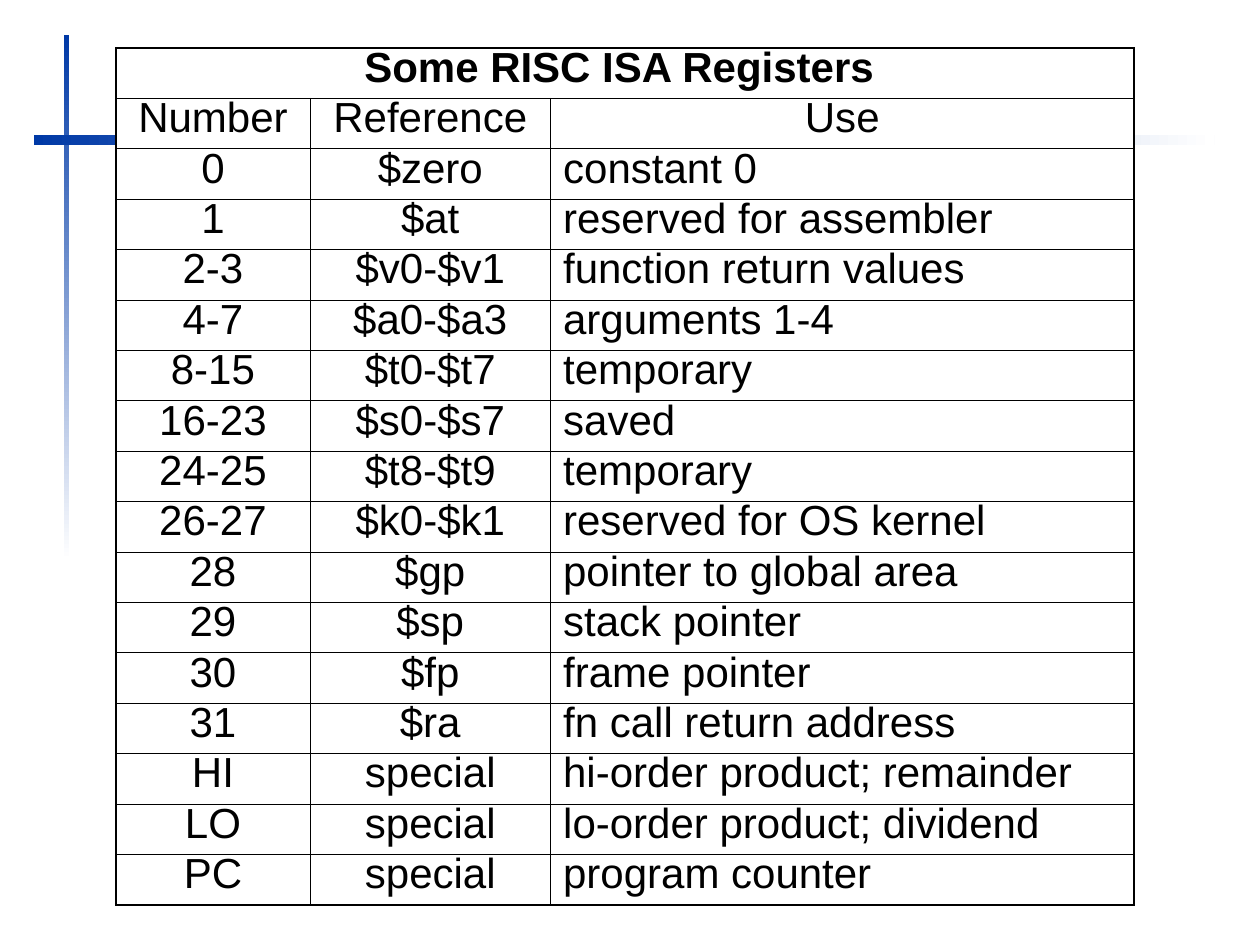
import pptx
import pptx.dml.color
import pptx.enum.shapes
import pptx.enum.text
import pptx.oxml
import pptx.oxml.ns
import pptx.util

Inches = pptx.util.Inches
Pt = pptx.util.Pt
Align = pptx.enum.text.PP_ALIGN

COLORS = {"accent": "0039A6", "paper": "FFFFFF", "ink": "000000"}
OUTER, INNER = 1.08, 0.45
COLUMN_WIDTHS = [1.54, 1.91, 4.63]
ROW_HEIGHT = 0.4
CAPTION = "Some RISC ISA Registers "
HEADINGS = ("Number", "Reference", "Use")
REGISTERS = [
    ("0", "$zero", "constant 0"),
    ("1", "$at", "reserved for assembler"),
    ("2-3", "$v0-$v1", "function return values"),
    ("4-7", "$a0-$a3", "arguments 1-4"),
    ("8-15", "$t0-$t7", "temporary"),
    ("16-23", "$s0-$s7", "saved"),
    ("24-25", "$t8-$t9", "temporary"),
    ("26-27", "$k0-$k1", "reserved for OS kernel"),
    ("28", "$gp", "pointer to global area"),
    ("29", "$sp", "stack pointer"),
    ("30", "$fp", "frame pointer"),
    ("31", "$ra", "fn call return address"),
    ("HI", "special", "hi-order product; remainder"),
    ("LO", "special", "lo-order product; dividend"),
    ("PC", "special", "program counter"),
]


def rgb(name):
    return pptx.dml.color.RGBColor.from_string(COLORS[name])


def set_attributes(target, values):
    for name, value in values.items():
        setattr(target, name, value)


class SlideBuilder:
    font_format = {"name": "Arial", "size": Pt(24)}
    para_format = {"line_spacing": 0.75}
    cell_format = {
        "margin_left": Inches(0.1), "margin_right": Inches(0.1),
        "margin_top": Inches(0.05), "margin_bottom": Inches(0.05),
    }

    def __init__(self, slide):
        self.slide = slide

    def gradient_bar(self, left, top, width, height, angle):
        bar = self.slide.shapes.add_shape(
            pptx.enum.shapes.MSO_SHAPE.RECTANGLE,
            Inches(left), Inches(top), Inches(width), Inches(height))
        bar.shadow.inherit = False
        bar.line.fill.background()
        bar.fill.gradient()
        bar.fill.gradient_angle = angle
        for stop, position, name in zip(
                bar.fill.gradient_stops, (0, 1), ("accent", "paper")):
            stop.position = position
            stop.color.rgb = rgb(name)

    def borders(self, cell, widths):
        properties = cell._tc.get_or_add_tcPr()
        for side, width in widths.items():
            properties.append(pptx.oxml.parse_xml(
                f'<a:ln{side} {pptx.oxml.ns.nsdecls("a")} w="{Pt(width)}">'
                f'<a:solidFill><a:srgbClr val="{COLORS["ink"]}"/></a:solidFill>'
                f'</a:ln{side}>'))

    def cell_text(self, cell, text, alignment, bold):
        set_attributes(cell, self.cell_format)
        para = cell.text_frame.paragraphs[0]
        set_attributes(para, {**self.para_format, "alignment": alignment})
        span = para.add_run()
        span.text = text
        set_attributes(span.font, {**self.font_format, "bold": bold})
        span.font.color.rgb = rgb("ink")

    def table(self, left, top, caption, rows):
        row_count, column_count = len(rows) + 1, len(COLUMN_WIDTHS)
        table = self.slide.shapes.add_table(
            row_count, column_count, Inches(left), Inches(top),
            Inches(sum(COLUMN_WIDTHS)), Inches(ROW_HEIGHT * row_count)).table
        set_attributes(table, {"first_row": False, "horz_banding": False})
        for column, width in zip(table.columns, COLUMN_WIDTHS):
            column.width = Inches(width)
        for row in table.rows:
            row.height = Inches(ROW_HEIGHT)
        table.cell(0, 0).merge(table.cell(0, column_count - 1))

        for r, texts in enumerate([(caption,)] + rows):
            for c, text in enumerate(texts):
                cell = table.cell(r, c)
                last_column = c == len(texts) - 1
                outside = {"L": c == 0, "R": last_column,
                           "T": r == 0, "B": r == row_count - 1}
                self.borders(cell, {side: OUTER if edge else INNER
                                    for side, edge in outside.items()})
                cell.fill.solid()
                cell.fill.fore_color.rgb = rgb("paper")
                described = r > 1 and last_column
                self.cell_text(cell, text,
                               Align.LEFT if described else Align.CENTER, r == 0)


def main():
    deck = pptx.Presentation()
    set_attributes(deck, {"slide_width": Inches(10), "slide_height": Inches(7.5)})
    page = SlideBuilder(deck.slides.add_slide(deck.slide_layouts[6]))
    page.gradient_bar(0.51, 0.28, 0.04, 4.17, 270)
    page.gradient_bar(0.27, 1.07, 9.37, 0.08, 0)
    page.table(0.92, 0.38, CAPTION, [HEADINGS] + REGISTERS)
    deck.save("out.pptx")


if __name__ == "__main__":
    main()
